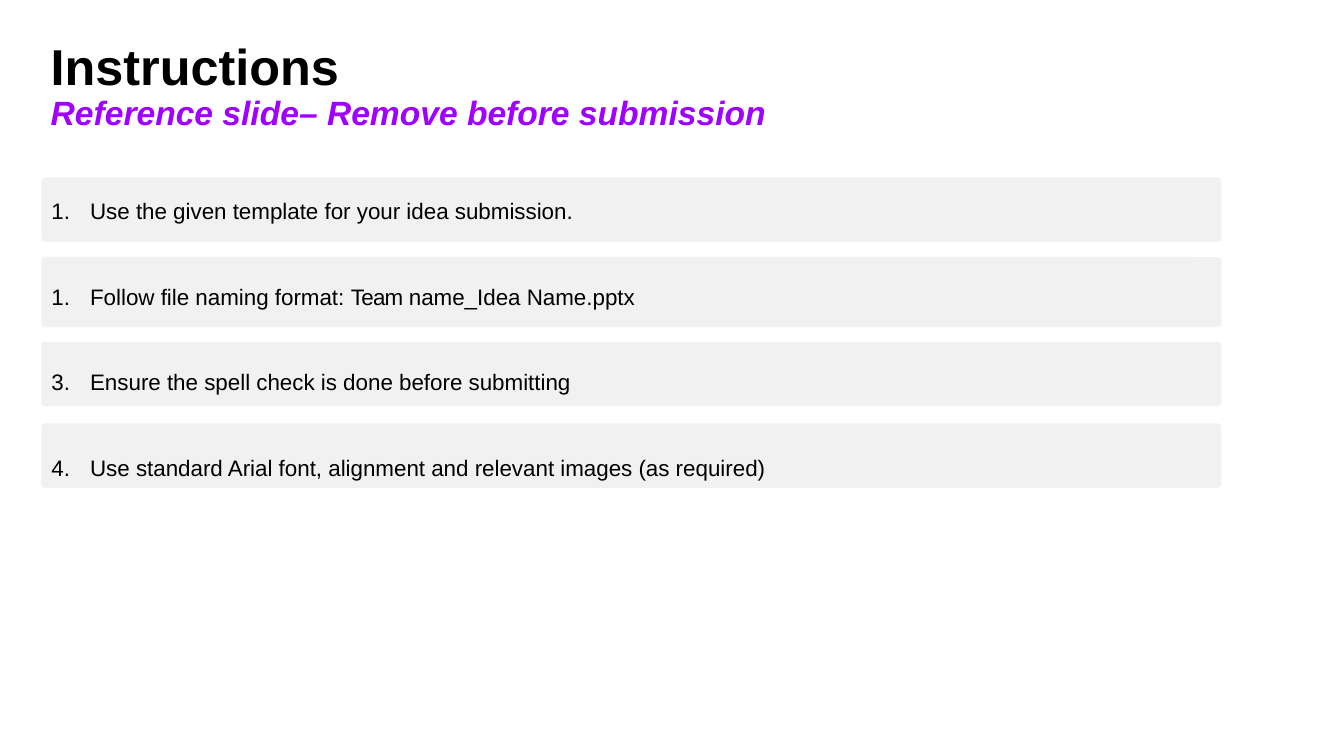
"""Build the submission instructions slide."""
from dataclasses import dataclass

from lxml import etree
from pptx import Presentation
from pptx.dml.color import RGBColor
from pptx.enum.shapes import MSO_SHAPE
from pptx.enum.text import MSO_ANCHOR, MSO_AUTO_SIZE, PP_ALIGN
from pptx.oxml.ns import qn
from pptx.util import Pt

ROUNDED = MSO_SHAPE.ROUNDED_RECTANGLE
TOP = MSO_ANCHOR.TOP
LEFT = PP_ALIGN.LEFT
NO_FIT = MSO_AUTO_SIZE.NONE
TITLE_ONLY = 5


@dataclass(frozen=True)
class Theme:
    """Hold the colours, font and type sizes."""
    font: str = "Arial"
    ink: RGBColor = RGBColor(0x00, 0x00, 0x00)
    accent: RGBColor = RGBColor(0xA0, 0x00, 0xFF)
    bar: RGBColor = RGBColor(0xF1, 0xF1, 0xF1)
    title: int = 36
    subtitle: int = 24
    body: int = 16


THEME = Theme()
BAR_LEFT, BAR_WIDTH, BAR_RADIUS = 29.5, 843, 2.8
BARS = [(126.7, 46), (183.6, 50), (244.1, 46), (302.4, 46)]
ITEM_GAP = 42
ITEM_MARGIN, ITEM_HANG = 28.4, 27.6
FIRST_AUTO_NUMBER = 3
TYPED_ITEMS = [
    [("1.\tUse the given template for your idea submission.", 0)],
    [("1.\tFollow file naming format: ", 0), ("Team ", -0.5),
     ("name_Idea Name.pptx", 0)],
]
NUMBERED_ITEMS = [
    [("Ensure the spell check is done before submitting", 0)],
    [("Use standard Arial font, alignment and relevant images (as required)", 0)],
]


def place(shape, left, top, width, height):
    """Set the position and size of a shape."""
    shape.left, shape.top = Pt(left), Pt(top)
    shape.width, shape.height = Pt(width), Pt(height)


def prepare_frame(frame):
    """Give a text frame no margins, wrapping and top anchoring."""
    frame.margin_left = frame.margin_right = Pt(0)
    frame.margin_top = frame.margin_bottom = Pt(0)
    frame.word_wrap = True
    frame.auto_size = NO_FIT
    frame.vertical_anchor = TOP


def add_span(para, text, size, color, bold=False, italic=False, tracking=0):
    """Add one formatted run to a paragraph."""
    span = para.add_run()
    span.text = text
    font = span.font
    font.name, font.size, font.color.rgb = THEME.font, Pt(size), color
    font.bold, font.italic = bold, italic
    if tracking:
        font._element.set("spc", str(round(tracking * 100)))


def set_indent(para, margin, hang):
    """Set a hanging indent and return the paragraph properties."""
    properties = para._p.get_or_add_pPr()
    properties.set("marL", str(Pt(margin)))
    properties.set("indent", str(-Pt(hang)))
    return properties


def add_title(page):
    """Fill the title placeholder with a heading and a subtitle."""
    title = page.shapes.title
    place(title, 35.3, 28, 513, 68)
    frame = title.text_frame
    prepare_frame(frame)
    heading, subtitle = frame.paragraphs[0], frame.add_paragraph()
    for para, spacing in ((heading, 40.5), (subtitle, 26.1)):
        para.alignment = LEFT
        para.line_spacing = Pt(spacing)
        set_indent(para, 0.9, 0)
    heading.space_before = Pt(1)
    add_span(heading, "Instructions", THEME.title, THEME.ink, bold=True)
    add_span(subtitle, "Reference slide– Remove before submission",
             THEME.subtitle, THEME.accent, bold=True, italic=True)


def add_bar(page, top, height):
    """Add one rounded background bar."""
    bar = page.shapes.add_shape(
        ROUNDED, Pt(BAR_LEFT), Pt(top), Pt(BAR_WIDTH), Pt(height))
    bar.adjustments[0] = BAR_RADIUS / height
    bar.shadow.inherit = False
    bar.fill.solid()
    bar.fill.fore_color.rgb = THEME.bar
    bar.line.fill.background()


def add_instructions(page):
    """Add the list of instructions over the bars."""
    box = page.shapes.add_textbox(Pt(36), Pt(140.8), Pt(513), Pt(200))
    frame = box.text_frame
    prepare_frame(frame)
    for index, spans in enumerate(TYPED_ITEMS + NUMBERED_ITEMS):
        para = frame.add_paragraph() if index else frame.paragraphs[0]
        para.space_before = Pt(ITEM_GAP if index else 0)
        properties = set_indent(para, ITEM_MARGIN, ITEM_HANG)
        if index >= len(TYPED_ITEMS):
            etree.SubElement(properties, qn("a:buAutoNum"), type="arabicPeriod",
                             startAt=str(FIRST_AUTO_NUMBER))
        for text, tracking in spans:
            add_span(para, text, THEME.body, THEME.ink, tracking=tracking)


def main():
    """Build and save the deck."""
    deck = Presentation()
    deck.slide_width, deck.slide_height = Pt(960), Pt(540)
    page = deck.slides.add_slide(deck.slide_layouts[TITLE_ONLY])
    add_title(page)
    for top, height in BARS:
        add_bar(page, top, height)
    add_instructions(page)
    deck.save("out.pptx")


main()
